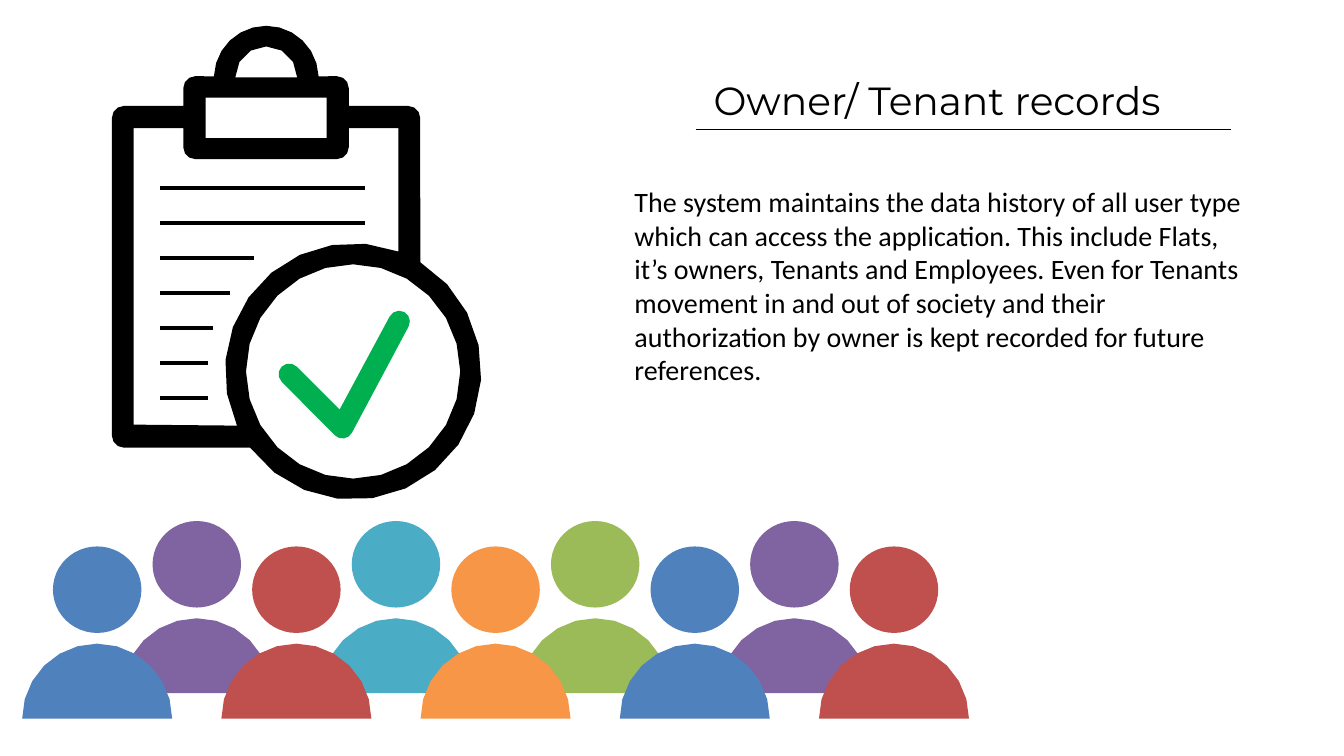
from dataclasses import dataclass
from math import cos, radians, sin

from lxml.etree import SubElement
from pptx import Presentation
from pptx.dml.color import RGBColor
from pptx.enum.shapes import MSO_CONNECTOR as Connector, MSO_SHAPE as Preset
from pptx.enum.text import MSO_ANCHOR as Anchor, MSO_AUTO_SIZE as AutoSize, PP_ALIGN as Align
from pptx.oxml.ns import qn
from pptx.shapes.base import BaseShape
from pptx.shapes.shapetree import _BaseGroupShapes as Shapes
from pptx.text.text import TextFrame
from pptx.util import Cm, Pt

BLACK = RGBColor(0x00, 0x00, 0x00)
GREEN = RGBColor(0x00, 0xB0, 0x50)
BLUE = RGBColor(0x4F, 0x81, 0xBD)
RED = RGBColor(0xC0, 0x50, 0x4D)
OLIVE = RGBColor(0x9B, 0xBB, 0x59)
PURPLE = RGBColor(0x80, 0x64, 0xA2)
TEAL = RGBColor(0x4B, 0xAC, 0xC6)
ORANGE = RGBColor(0xF7, 0x96, 0x46)

Point = tuple[float, float]
Contour = list[Point]


@dataclass(frozen=True)
class Person:
    center: float
    lift: float
    color: RGBColor


def arc(x: float, y: float, radius: float, start: float, end: float) -> Contour:
    """Points in cm along an arc; angles in degrees, clockwise from the right."""
    step = 15 if radius > 1 else 30
    steps = max(1, round(abs(end - start) / step))
    angles = [radians(start + (end - start) * i / steps) for i in range(steps + 1)]
    return [(x + radius * cos(a), y + radius * sin(a)) for a in angles]


def paint(shape: BaseShape, color: RGBColor) -> None:
    shape.shadow.inherit = False
    shape.fill.solid()
    shape.fill.fore_color.rgb = color
    shape.line.fill.background()


def draw_outline(shapes: Shapes, contours: list[Contour], color: RGBColor) -> None:
    """Draw one filled freeform; contours after the first are holes."""
    paths = [[(Cm(x), Cm(y)) for x, y in contour] for contour in contours]
    builder = shapes.build_freeform(*paths[0][0])
    builder.add_line_segments(paths[0][1:], close=True)
    for hole in paths[1:]:
        builder.move_to(*hole[0])
        builder.add_line_segments(hole[1:], close=True)
    paint(builder.convert_to_shape(), color)


def draw_rule(shapes: Shapes, left: float, right: float, y: float, weight: float) -> None:
    rule = shapes.add_connector(Connector.STRAIGHT, Cm(left), Cm(y), Cm(right), Cm(y))
    rule.line.color.rgb = BLACK
    rule.line.width = Pt(weight)
    SubElement(rule._element.spPr, qn("a:effectLst"))


def draw_person(shapes: Shapes, person: Person) -> None:
    base = 18.11 - person.lift
    draw_outline(shapes, [arc(person.center, base, 1.89, 180, 360)], person.color)
    head_width, head_height = 2.23, 2.18
    head = shapes.add_shape(
        Preset.OVAL, Cm(person.center - head_width / 2), Cm(base - 4.34),
        Cm(head_width), Cm(head_height),
    )
    paint(head, person.color)


def write(frame: TextFrame, text: str, font_name: str, size: float) -> None:
    frame.word_wrap = True
    frame.auto_size = AutoSize.NONE
    frame.vertical_anchor = Anchor.TOP
    frame.text = text
    paragraph = frame.paragraphs[0]
    paragraph.alignment = Align.LEFT
    paragraph.font.name = font_name
    paragraph.font.size = Pt(size)
    paragraph.font.color.rgb = BLACK


# Clipboard with a round badge: outer edge, then the holes
CORNER = 0.3
BADGE = (8.9, 9.36)
CLIPBOARD: list[Contour] = [
    arc(*BADGE, 3.23, -58.4, 143.5)
    + arc(3.12, 10.98, CORNER, 90, 180)
    + arc(3.12, 2.97, CORNER, 180, 270)
    + [(4.62, 2.67)]
    + arc(4.92, 2.22, CORNER, 180, 270)
    + arc(6.71, 1.97, 1.32, 182, 358)
    + arc(8.49, 2.22, CORNER, 270, 360)
    + [(8.79, 2.67)]
    + arc(10.29, 2.97, CORNER, 270, 360),
    arc(6.71, 1.95, 0.78, 180, 360),
    [(5.18, 2.46), (8.23, 2.46), (8.23, 3.48), (5.18, 3.48)],
    [(3.37, 3.23), (4.62, 3.23)]
    + arc(4.92, 3.71, CORNER, 180, 90)
    + arc(8.49, 3.71, CORNER, 90, 0)
    + [(8.79, 3.23), (10.04, 3.23)]
    + arc(*BADGE, 3.23, -69.3, -205)
    + [(3.37, 10.7)],
    arc(*BADGE, 2.7, 0, 345),
]
CHECK_MARK: Contour = (
    arc(7.29, 9.43, 0.27, 135, 315)
    + [(8.56, 10.32)]
    + arc(10.06, 8.1, 0.27, -152, 28)
    + arc(8.63, 10.78, 0.27, 28, 135)
)
RECORD_LINE_ENDS = [9.19, 9.19, 6.4, 5.79, 5.36, 5.23, 5.23]

# People from left to right; every second one stands in the back row
CROWD_COLORS = [BLUE, PURPLE, RED, TEAL, ORANGE, OLIVE, BLUE, PURPLE, RED]
CROWD = [
    Person(2.45 + 2.51 * i, 0.64 * (i % 2), color)
    for i, color in enumerate(CROWD_COLORS)
]

DESCRIPTION = (
    "The system maintains the data history of all user type which can access the "
    "application. This include Flats, it’s owners, Tenants and Employees. Even for "
    "Tenants movement in and out of society and their authorization by owner is kept "
    "recorded for future references."
)


def main() -> None:
    presentation = Presentation()
    presentation.slide_width, presentation.slide_height = Cm(33.87), Cm(19.05)
    slide = presentation.slides.add_slide(presentation.slide_layouts[5])

    # Title and description
    title = slide.shapes.title
    title.left, title.top, title.width, title.height = Cm(17.73), Cm(1.8), Cm(13.28), Cm(1.45)
    write(title.text_frame, "Owner/ Tenant records", "Montserrat", 28)
    description = slide.shapes.add_textbox(Cm(15.74), Cm(4.53), Cm(15.8), Cm(5.38))
    write(description.text_frame, DESCRIPTION, "Calibri", 20)

    # Clipboard
    clipboard = slide.shapes.add_group_shape().shapes
    draw_outline(clipboard, [CHECK_MARK], GREEN)
    draw_outline(clipboard, CLIPBOARD, BLACK)
    for row, end in enumerate(RECORD_LINE_ENDS):
        draw_rule(clipboard, 4.04, end, 4.74 + 0.88 * row, 3)

    # Crowd, back row first
    crowd = slide.shapes.add_group_shape().shapes
    for person in CROWD[1::2] + CROWD[::2]:
        draw_person(crowd, person)

    # Rule under the title
    draw_rule(slide.shapes, 17.53, 31.01, 3.26, 0.75)

    presentation.save("out.pptx")


if __name__ == "__main__":
    main()
